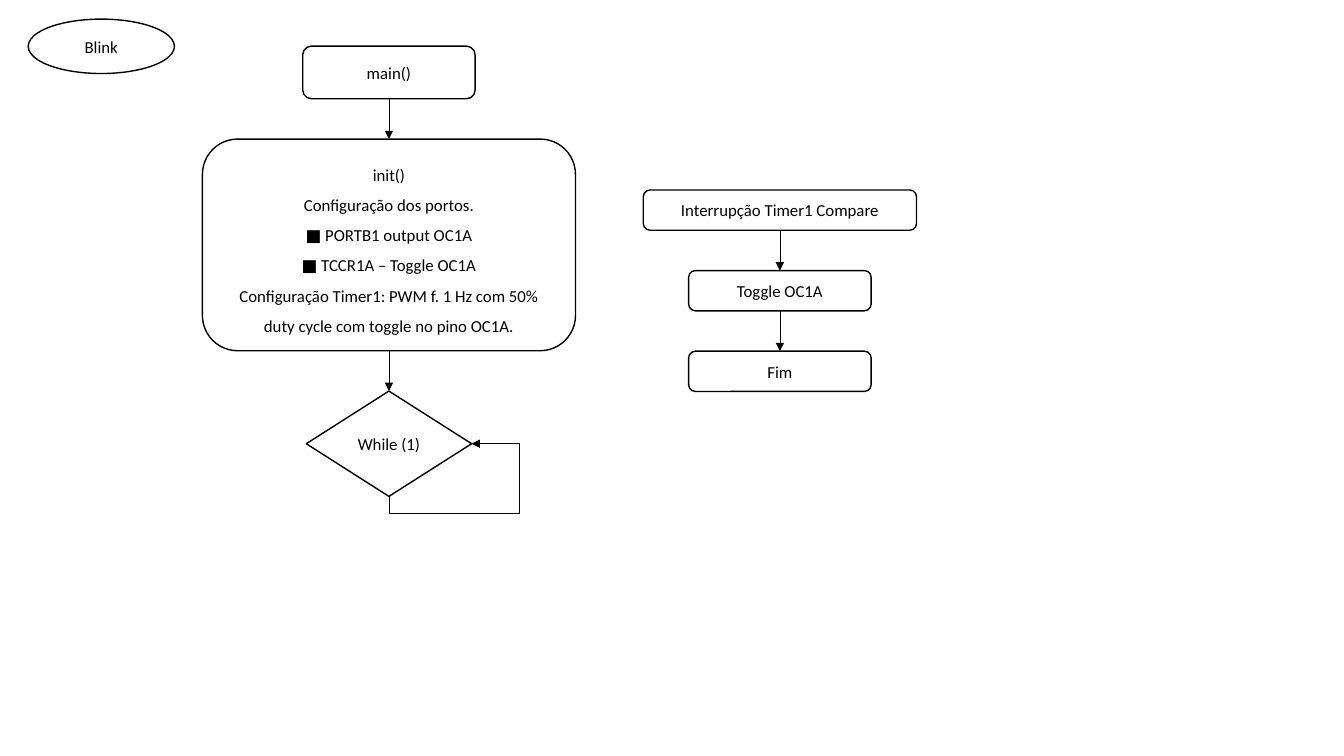
from dataclasses import dataclass

from lxml import etree
from pptx import Presentation, util as u
from pptx.dml.color import RGBColor
from pptx.enum import shapes, text
from pptx.oxml.ns import qn

COLORS = {"ink": "000000", "paper": "FFFFFF"}
FONT = "Calibri"
SLIDE_W, SLIDE_H = u.Inches(13.33), u.Inches(7.5)
GAP = 5.33  # space between stacked steps, percent of slide height
TOP, BOTTOM = 0, 2  # connection sites

KIND = shapes.MSO_SHAPE
INIT_LINES = (
    "init()",
    "Configuração dos portos.",
    "■ PORTB1 output OC1A",
    "■ TCCR1A – Toggle OC1A",
    "Configuração Timer1: PWM f. 1 Hz com 50% duty cycle com toggle no pino OC1A.",
)


@dataclass(frozen=True)
class Step:
    """A flowchart box; width and height are percentages of the slide."""
    kind: int
    width: float
    height: float
    lines: tuple[str, ...]
    spacing: float = 1.0


@dataclass(frozen=True)
class Flow:
    """Steps stacked on a vertical axis; positions are percentages."""
    axis: float
    top: float
    steps: tuple[Step, ...]


FLOWS = (
    Flow(7.54, 2.53, (Step(KIND.OVAL, 10.88, 7.2, ("Blink",)),)),
    Flow(28.94, 6.1, (
        Step(KIND.ROUNDED_RECTANGLE, 12.83, 6.97, ("main()",)),
        Step(KIND.ROUNDED_RECTANGLE, 27.76, 28, INIT_LINES, 1.5),
        Step(KIND.FLOWCHART_DECISION, 12.3, 13.93, ("While (1)",)),
    )),
    Flow(58.03, 25.13, (
        Step(KIND.ROUNDED_RECTANGLE, 20.33, 5.33, ("Interrupção Timer1 Compare",)),
        Step(KIND.FLOWCHART_ALTERNATE_PROCESS, 13.58, 5.33, ("Toggle OC1A",)),
        Step(KIND.FLOWCHART_ALTERNATE_PROCESS, 13.58, 5.33, ("Fim",)),
    )),
)


def across(share: float) -> int:
    return round(SLIDE_W * share / 100)


def down(share: float) -> int:
    return round(SLIDE_H * share / 100)


def rgb(name: str) -> RGBColor:
    return RGBColor.from_string(COLORS[name])


def write(sp, lines: tuple[str, ...], *, size: float = 12,
          color: str = "ink", spacing: float = 1.0) -> None:
    tf = sp.text_frame
    tf.word_wrap = True
    tf.vertical_anchor = text.MSO_ANCHOR.MIDDLE
    for i, line in enumerate(lines):
        p = tf.add_paragraph() if i else tf.paragraphs[0]
        p.alignment = text.PP_ALIGN.CENTER
        p.line_spacing = spacing
        r = p.add_run()
        r.text = line
        r.font.name, r.font.size = FONT, u.Pt(size)
        r.font.color.rgb = rgb(color)


def add_step(s, step: Step, axis: float, top: float):
    sp = s.shapes.add_shape(step.kind, across(axis - step.width / 2), down(top),
                            across(step.width), down(step.height))
    sp.shadow.inherit = False
    sp.fill.solid()
    sp.fill.fore_color.rgb = rgb("paper")
    sp.line.color.rgb = rgb("ink")
    sp.line.width = u.Pt(1)
    write(sp, step.lines, spacing=step.spacing)
    return sp


def style_arrow(cx) -> None:
    cx.line.color.rgb = rgb("ink")
    cx.line.width = u.Pt(0.5)
    etree.SubElement(cx.line._get_or_add_ln(), qn("a:tailEnd"), type="triangle")
    etree.SubElement(cx._element.spPr, qn("a:effectLst"))


def add_arrow(s, above, below) -> None:
    cx = s.shapes.add_connector(shapes.MSO_CONNECTOR.STRAIGHT, 0, 0, 0, 0)
    cx.begin_connect(above, BOTTOM)
    cx.end_connect(below, TOP)
    style_arrow(cx)


def add_loop(s, decision) -> None:
    """Lead from the bottom of the decision around to its right corner."""
    run, rise = decision.width // 2, decision.height // 2
    mid_x = decision.left + decision.width * 3 // 4
    mid_y = decision.top + decision.height * 3 // 4
    # The frame is turned a quarter, so its width is the rise.
    cx = s.shapes.add_connector(shapes.MSO_CONNECTOR.ELBOW,
                                mid_x + rise // 2, mid_y + run // 2,
                                mid_x - rise // 2, mid_y - run // 2)
    cx._element.spPr.find(qn("a:xfrm")).set("rot", str(90 * 60000))
    geom = cx._element.spPr.find(qn("a:prstGeom"))
    geom.set("prst", "bentConnector4")
    guides = geom.find(qn("a:avLst"))
    for name, value in (("adj1", -32700), ("adj2", 157600)):
        etree.SubElement(guides, qn("a:gd"), name=name, fmla=f"val {value}")
    style_arrow(cx)


def add_flow(s, flow: Flow) -> list:
    boxes, top = [], flow.top
    for step in flow.steps:
        boxes.append(add_step(s, step, flow.axis, top))
        top += step.height + GAP
    for above, below in zip(boxes, boxes[1:]):
        add_arrow(s, above, below)
    return boxes


def main() -> None:
    prs = Presentation()
    prs.slide_width, prs.slide_height = SLIDE_W, SLIDE_H
    s = prs.slides.add_slide(prs.slide_layouts[6])
    _, program, _ = [add_flow(s, flow) for flow in FLOWS]
    add_loop(s, program[-1])
    prs.save("out.pptx")


if __name__ == "__main__":
    main()
